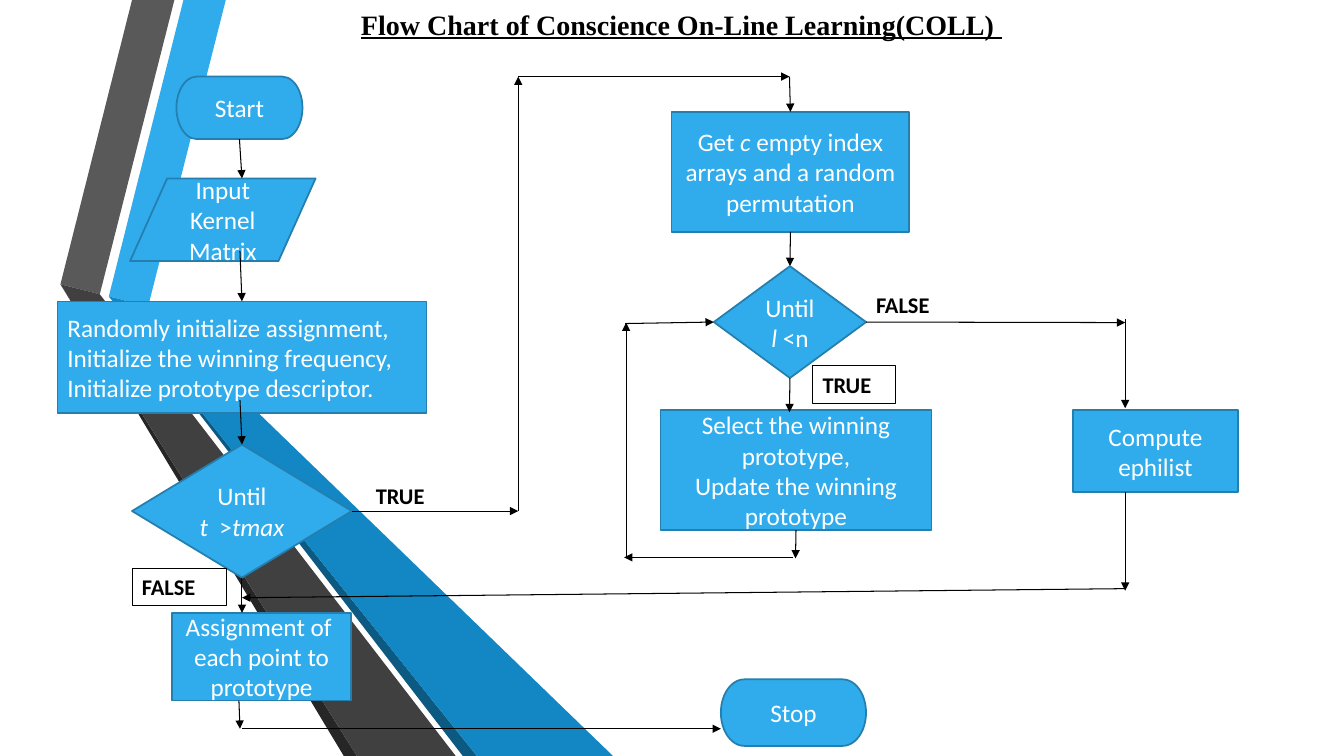
"""Build the flow chart slide for Conscience On-Line Learning."""
from lxml.etree import SubElement
from pptx import Presentation
from pptx.dml.color import RGBColor
from pptx.enum.shapes import MSO_CONNECTOR, MSO_SHAPE
from pptx.enum.text import MSO_ANCHOR, PP_ALIGN
from pptx.oxml.ns import qn
from pptx.util import Inches, Pt

SKY = RGBColor(0x30, 0xAC, 0xEC)
EDGE = RGBColor(0x24, 0x7F, 0xAF)
BLUE = RGBColor(0x12, 0x87, 0xC3)
NAVY = RGBColor(0x0C, 0x5A, 0x82)
GREY = RGBColor(0x59, 0x59, 0x59)
DARK = RGBColor(0x40, 0x40, 0x40)
COAL = RGBColor(0x26, 0x26, 0x26)
BLACK = RGBColor(0, 0, 0)
WHITE = RGBColor(0xFF, 0xFF, 0xFF)
LEFT, MID = PP_ALIGN.LEFT, PP_ALIGN.CENTER


def write(shape, text, size=18, color=WHITE, font="Calibri", align=LEFT,
          anchor=MSO_ANCHOR.TOP, bold=False, under=False):
    """Fill a shape with lines of text, where *stars* mark italics."""
    frame = shape.text_frame
    frame.word_wrap = True
    frame.vertical_anchor = anchor
    for row, line in enumerate(text.split("\n")):
        para = frame.add_paragraph() if row else frame.paragraphs[0]
        para.alignment = align
        for part, words in enumerate(line.split("*")):
            if words:
                run = para.add_run()
                run.text = words
                face = run.font
                face.name, face.size = font, Pt(size)
                face.bold, face.underline = bold, under
                face.italic = part % 2 == 1
                face.color.rgb = color


deck = Presentation()
deck.slide_width, deck.slide_height = Inches(13.33), Inches(7.5)
slide = deck.slides.add_slide(deck.slide_layouts[5])
shapes = slide.shapes

title = shapes.title
title.left, title.top = Inches(3.48), Inches(0.02)
title.width, title.height = Inches(6.75), Inches(0.44)
write(title, "Flow Chart of Conscience On-Line Learning(COLL) ", size=20,
      color=BLACK, font="Times New Roman", bold=True, under=True)

bands = [
    (SKY, [(1.08, 2.94), (1.47, 3.04), (2.24, 0), (1.82, 0)]),
    (GREY, [(0.99, 2.92), (1.73, 0), (1.31, 0), (0.6, 2.82)]),
    (COAL, [(0.6, 2.82), (3.41, 7.5), (3.54, 7.5)]),
    (NAVY, [(1.08, 2.94), (4.59, 7.5), (4.73, 7.5)]),
    (BLUE, [(1.08, 2.94), (4.73, 7.5), (6.08, 7.5), (1.47, 3.04)]),
    (DARK, [(0.6, 2.82), (3.54, 7.5), (4.52, 7.5), (1.06, 3.01), (0.99, 2.92)]),
]
for color, spots in bands:
    spots = [(Inches(x), Inches(y)) for x, y in spots]
    pen = shapes.build_freeform(*spots[0])
    pen.add_line_segments(spots[1:], close=True)
    band = pen.convert_to_shape()
    band.shadow.inherit = False
    band.fill.solid()
    band.fill.fore_color.rgb = color
    band.line.fill.background()

BOX, GEM = MSO_SHAPE.RECTANGLE, MSO_SHAPE.DIAMOND
PILL, SLANT = MSO_SHAPE.FLOWCHART_TERMINATOR, MSO_SHAPE.FLOWCHART_DATA
steps = [
    ("start", PILL, 1.75, 0.76, 1.25, 0.62, MID, "Start"),
    ("input", SLANT, 1.29, 1.77, 1.84, 0.82, MID, "Input Kernel Matrix"),
    ("setup", BOX, 0.57, 2.99, 3.66, 1.11, LEFT,
     "Randomly initialize assignment,\nInitialize the winning frequency,\n"
     "Initialize prototype descriptor."),
    ("outer", GEM, 1.31, 4.41, 2.18, 1.32, MID, "Until\n*t * >*tmax*"),
    ("get", BOX, 6.66, 1.11, 2.36, 1.19, MID,
     "Get *c *empty index arrays and a random permutation"),
    ("inner", GEM, 7.08, 2.64, 1.51, 1.11, MID, "Until *l* <n"),
    ("select", BOX, 6.55, 4.07, 2.69, 1.19, MID,
     "Select the winning prototype,\nUpdate the winning prototype"),
    ("compute", BOX, 10.64, 4.07, 1.64, 0.81, MID, "Compute ephilist"),
    ("assign", BOX, 1.71, 6.08, 1.77, 0.87, MID,
     "Assignment of \neach point to prototype"),
    ("stop", PILL, 7.15, 6.74, 1.44, 0.66, MID, "Stop"),
]
nodes = {}
for name, kind, x, y, w, h, align, text in steps:
    node = shapes.add_shape(kind, Inches(x), Inches(y), Inches(w), Inches(h))
    node.shadow.inherit = False
    node.fill.solid()
    node.fill.fore_color.rgb = SKY
    node.line.color.rgb = EDGE
    node.line.width = Pt(1.25)
    write(node, text, align=align, anchor=MSO_ANCHOR.MIDDLE)
    nodes[name] = node

labels = [
    ("TRUE", 3.63, 4.73, 0.77, False),
    ("FALSE", 1.31, 5.64, 0.94, True),
    ("TRUE", 8.06, 3.63, 0.82, True),
    ("FALSE", 8.59, 2.84, 0.89, False),
]
for text, x, y, w, framed in labels:
    label = shapes.add_textbox(Inches(x), Inches(y), Inches(w), Inches(0.37))
    write(label, text, size=16, color=BLACK, bold=True)
    if framed:
        label.line.color.rgb = BLACK
        label.line.width = Pt(0.75)

TOP, WEST, BASE, EAST = range(4)
arrows = [
    (2.37, 1.37, 2.4, 1.77, ("start", BASE), None),
    (2.38, 2.49, 2.4, 2.99, None, ("setup", TOP)),
    (2.38, 3.97, 2.4, 4.41, None, ("outer", TOP)),
    (3.48, 5.07, 5.14, 5.07, ("outer", EAST), None),
    (5.14, 5.07, 5.14, 0.76, None, None),
    (5.14, 0.76, 7.83, 0.76, None, None),
    (7.83, 0.76, 7.83, 1.11, None, ("get", TOP)),
    (7.83, 2.3, 7.83, 2.64, ("get", BASE), ("inner", TOP)),
    (7.83, 3.75, 7.83, 4.09, ("inner", BASE), None),
    (8.59, 3.2, 11.16, 3.2, ("inner", EAST), None),
    (11.16, 3.16, 11.16, 4.05, None, None),
    (2.4, 5.73, 2.4, 6.08, ("outer", BASE), None),
    (2.37, 6.95, 2.38, 7.23, None, None),
    (2.4, 7.23, 7.15, 7.23, None, None),
    (11.16, 4.88, 11.16, 5.86, None, None),
    (11.16, 5.84, 2.4, 5.93, None, None),
    (7.89, 5.26, 7.89, 5.54, ("select", BASE), None),
    (7.87, 5.53, 6.19, 5.53, None, None),
    (6.21, 5.54, 6.21, 3.2, None, None),
    (6.2, 3.21, 7.08, 3.2, None, ("inner", WEST)),
]
for *ends, source, goal in arrows:
    arrow = shapes.add_connector(MSO_CONNECTOR.STRAIGHT, *map(Inches, ends))
    if source:
        arrow.begin_connect(nodes[source[0]], source[1])
    if goal:
        arrow.end_connect(nodes[goal[0]], goal[1])
    arrow.line.color.rgb = BLACK
    arrow.line.width = Pt(0.75)
    props = arrow.line._get_or_add_ln()
    SubElement(props, qn("a:tailEnd"), type="triangle")
    SubElement(props.getparent(), qn("a:effectLst"))

deck.save("out.pptx")
